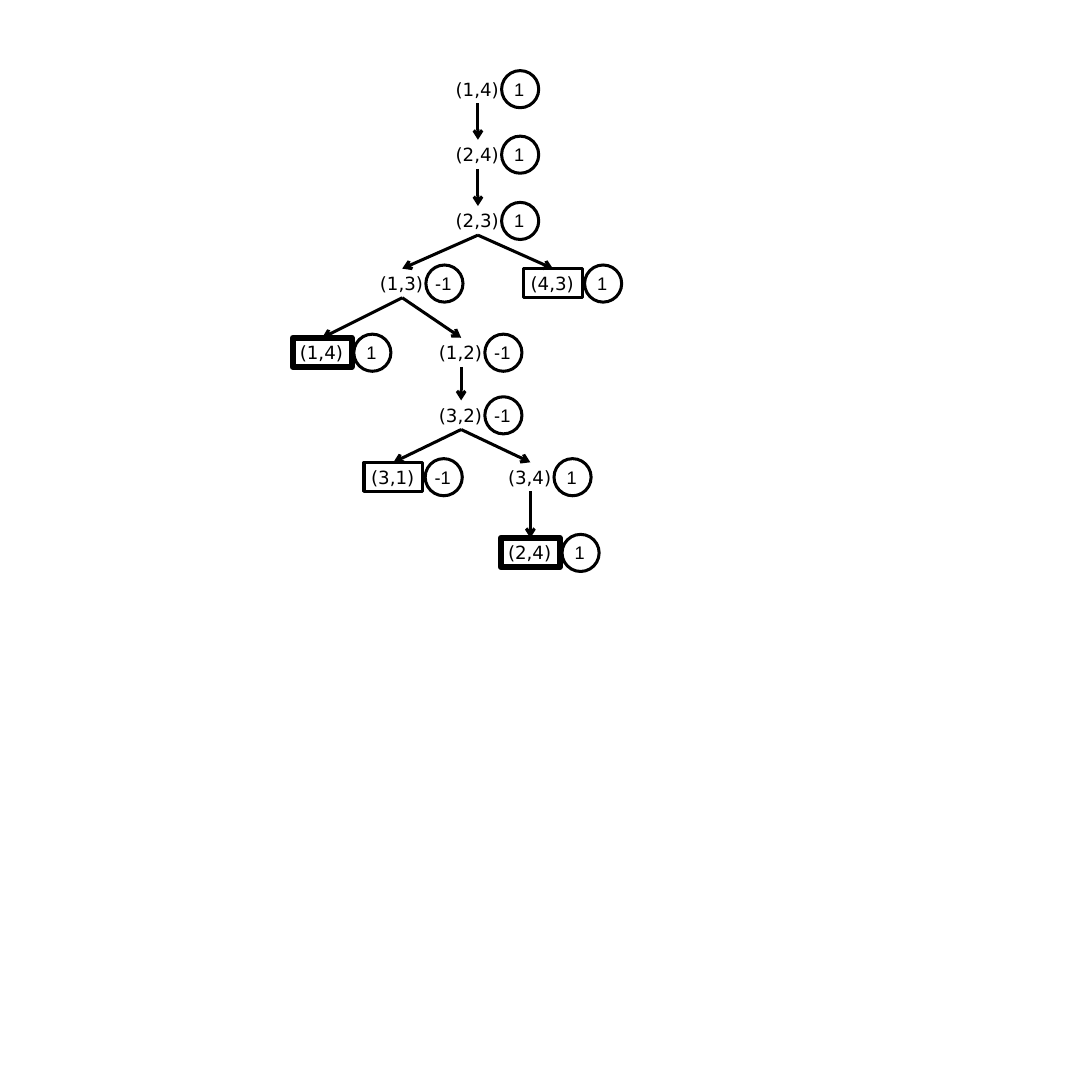
from lxml.etree import SubElement
from pptx import Presentation
from pptx.dml.color import RGBColor
from pptx.enum.shapes import MSO_CONNECTOR, MSO_SHAPE
from pptx.enum.text import MSO_ANCHOR, MSO_AUTO_SIZE, PP_ALIGN
from pptx.oxml.ns import qn
from pptx.util import Inches, Pt

BLACK = "000000"
NODE_W, NODE_H = 0.81, 0.4
CIRCLE = 0.51
TEXT_FORMAT = {"word_wrap": False, "auto_size": MSO_AUTO_SIZE.SHAPE_TO_FIT_TEXT,
               "vertical_anchor": MSO_ANCHOR.TOP}


def set_line(line, width, color=BLACK):
    line.width = Pt(width)
    line.color.rgb = RGBColor.from_string(color)


def write_text(sp, text, font, color=BLACK):
    tf = sp.text_frame
    for name, value in TEXT_FORMAT.items():
        setattr(tf, name, value)
    p = tf.paragraphs[0]
    p.alignment = PP_ALIGN.LEFT
    r = p.add_run()
    r.text = text
    for name, value in {"name": font, "size": Pt(18)}.items():
        setattr(r.font, name, value)
    r.font.color.rgb = RGBColor.from_string(color)


prs = Presentation()
prs.slide_width = prs.slide_height = Inches(15)
s = prs.slides.add_slide(prs.slide_layouts[6])

# Tree nodes: name, text, left, top, border width (0 for none), value
nodes = [
    ("root", "(1,4)", 6.16, 1.02, 0, "1"),
    ("second", "(2,4)", 6.16, 1.92, 0, "1"),
    ("third", "(2,3)", 6.16, 2.83, 0, "1"),
    ("left", "(1,3)", 5.12, 3.69, 0, "-1"),
    ("right leaf", "(4,3)", 7.19, 3.69, 3, "1"),
    ("left leaf", "(1,4)", 4.02, 4.64, 6, "1"),
    ("inner", "(1,2)", 5.93, 4.64, 0, "-1"),
    ("lower", "(3,2)", 5.93, 5.5, 0, "-1"),
    ("lower leaf", "(3,1)", 5, 6.35, 3, "-1"),
    ("last", "(3,4)", 6.88, 6.35, 0, "1"),
    ("last leaf", "(2,4)", 6.88, 7.39, 6, "1"),
]
boxes = {}
for name, text, left, top, border, value in nodes:
    at = [Inches(v) for v in (left, top, NODE_W, NODE_H)]
    if border:
        sp = s.shapes.add_shape(MSO_SHAPE.RECTANGLE, *at)
        sp.shadow.inherit = False
        sp.fill.background()
        set_line(sp.line, border)
    else:
        sp = s.shapes.add_textbox(*at)
    write_text(sp, text, "DejaVu Sans")
    boxes[name] = sp

# Arrows from parent to child
edges = [
    ("root", "second"), ("second", "third"), ("third", "left"),
    ("third", "right leaf"), ("left", "left leaf"), ("left", "inner"),
    ("inner", "lower"), ("lower", "lower leaf"), ("lower", "last"),
    ("last", "last leaf"),
]
for parent, child in edges:
    arrow = s.shapes.add_connector(MSO_CONNECTOR.STRAIGHT, 0, 0, 0, 0)
    arrow.begin_connect(boxes[parent], 2)
    arrow.end_connect(boxes[child], 0)
    set_line(arrow.line, 3)
    SubElement(arrow.line._get_or_add_ln(), qn("a:tailEnd"), type="arrow")
    SubElement(arrow._element.spPr, qn("a:effectLst"))

# Circled value to the right of each node
for name, text, left, top, border, value in nodes:
    x = left + (0.84 if border else 0.73)
    label_w = 0.36 if value == "1" else 0.45
    group = s.shapes.add_group_shape()
    circle = group.shapes.add_shape(MSO_SHAPE.OVAL, Inches(x), Inches(top - 0.05),
                                    Inches(CIRCLE), Inches(CIRCLE))
    circle.shadow.inherit = False
    circle.fill.background()
    set_line(circle.line, 3)
    label = group.shapes.add_textbox(Inches(x + (CIRCLE - label_w) / 2), Inches(top),
                                     Inches(label_w), Inches(NODE_H))
    write_text(label, value, "Arial")

prs.save("out.pptx")
